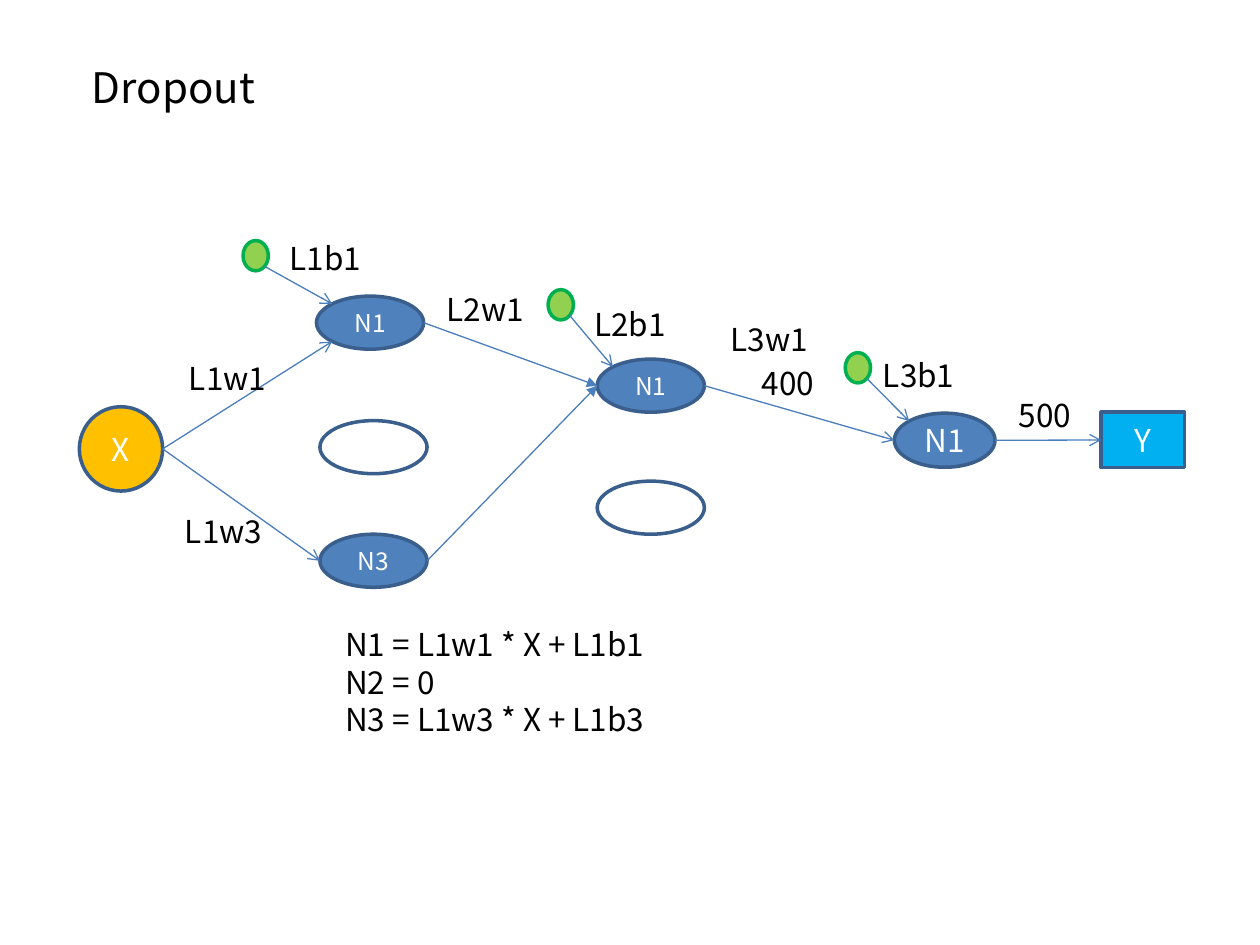
from dataclasses import dataclass
from math import cos, radians, sin

from lxml.etree import SubElement
from pptx import Presentation
from pptx.dml.color import RGBColor
from pptx.enum.shapes import MSO_CONNECTOR as Link, MSO_SHAPE as Form
from pptx.enum.text import MSO_ANCHOR as Anchor, MSO_AUTO_SIZE as Fit, PP_ALIGN as Align
from pptx.oxml.ns import qn
from pptx.util import Cm, Pt


@dataclass(frozen=True)
class Theme:
    """Colours, font and sizes of the slide."""
    font: str = "Noto Sans CJK KR"
    black: str = "000000"
    white: str = "FFFFFF"
    node: str = "4F81BD"
    edge: str = "3A5F8C"
    arrow: str = "4B7EBC"
    input: str = "FFC000"
    output: str = "00B0F0"
    bias: str = "92D050"
    ring: str = "00B050"
    head: int = 24
    body: int = 18
    small: int = 14


T = Theme()
NODE = (2.16, 1.07)
BIAS = (0.51, 0.61)
TAG = (2.08, 1.02)
NUM = (1.57, 1.02)

# Directions of the points where arrows meet an ellipse, in degrees
EAST, SE, SW, WEST, NW = 0, 45, 135, 180, 225


def write(shape, text, size=T.body, color=T.black, align=Align.LEFT,
          anchor=Anchor.TOP, wrap=True):
    """Fill a shape with formatted text, one paragraph a line."""
    frame = shape.text_frame
    frame.text = text
    frame.auto_size = Fit.NONE
    frame.word_wrap = wrap
    frame.vertical_anchor = anchor
    for para in frame.paragraphs:
        para.alignment = align
        font = para.font
        font.name, font.size = T.font, Pt(size)
        font.color.rgb = RGBColor.from_string(color)


def label(slide, text, at, size=TAG, **style):
    """Add a text box."""
    box = slide.shapes.add_textbox(*map(Cm, at + size))
    write(box, text, **style)


def node(slide, at, size=NODE, text="", fill=T.node, edge=T.edge,
         form=Form.OVAL, pt=T.small):
    """Add one unit of the network; no fill means it is dropped."""
    shape = slide.shapes.add_shape(form, *map(Cm, at + size))
    shape.shadow.inherit = False
    if fill:
        shape.fill.solid()
        shape.fill.fore_color.rgb = RGBColor.from_string(fill)
    else:
        shape.fill.background()
    shape.line.color.rgb = RGBColor.from_string(edge)
    shape.line.width = Pt(2)
    if text:
        write(shape, text, size=pt, color=T.white, align=Align.CENTER,
              anchor=Anchor.MIDDLE)
    return shape


def rim(shape, angle):
    """Find the point on a shape's rim in a direction."""
    turn = radians(angle)
    return (int(shape.left + shape.width * (1 + cos(turn)) / 2),
            int(shape.top + shape.height * (1 + sin(turn)) / 2))


def arrow(slide, start, out, end, into, head="arrow"):
    """Link two units with an arrow."""
    line = slide.shapes.add_connector(
        Link.STRAIGHT, *rim(start, out), *rim(end, into))
    line.line.color.rgb = RGBColor.from_string(T.arrow)
    line.line.width = Pt(0.75)
    SubElement(line.line._get_or_add_ln(), qn("a:tailEnd"), type=head)
    SubElement(line._element.spPr, qn("a:effectLst"))


def title(slide, text):
    """Place and format the title."""
    head = slide.shapes.title
    head.left, head.top, head.width, head.height = map(
        Cm, (1.6, 1.12, 22.28, 1.27))
    write(head, text, size=T.head)


def network(slide):
    """Draw the units and the arrows between them."""
    x = node(slide, (1.6, 8.2), (1.68, 1.7), "X", T.input, pt=T.body)
    first = node(slide, (6.38, 5.97), text="N1")
    third = node(slide, (6.45, 10.77), text="N3")
    second = node(slide, (12.04, 7.24), text="N1")
    last = node(slide, (18.03, 8.33), (2.03, 1.09), "N1", pt=T.body)
    y = node(slide, (22.2, 8.31), (1.68, 1.12), "Y", T.output,
             form=Form.RECTANGLE, pt=T.body)
    for at in ((6.45, 8.48), (12.04, 9.7)):
        node(slide, at, fill=None)

    arrow(slide, x, EAST, first, SW)
    arrow(slide, x, EAST, third, WEST)
    for unit in (first, third):
        arrow(slide, unit, EAST, second, WEST, head="triangle")
    arrow(slide, second, EAST, last, WEST)
    arrow(slide, last, EAST, y, WEST)

    for at, unit in (((4.9, 4.85), first), ((11.05, 5.84), second),
                     ((17.04, 7.11), last)):
        bias = node(slide, at, BIAS, fill=T.bias, edge=T.ring)
        arrow(slide, bias, SE, unit, NW)


def labels(slide):
    """Name the weights and biases, and give the values and rules."""
    for text, at in (
        ("L1w1", (3.56, 7.11)), ("L1w3", (3.48, 10.19)),
        ("L2w1", (8.76, 5.72)), ("L3w1", (14.48, 6.32)),
        ("L1b1", (5.59, 4.7)), ("L2b1", (11.73, 6.02)),
        ("L3b1", (17.55, 7.06)),
    ):
        label(slide, text, at)
    for text, at in (("400", (15.11, 7.21)), ("500", (20.29, 7.85))):
        label(slide, text, at, NUM, wrap=False)
    label(slide, "N1 = L1w1 * X + L1b1\nN2 = 0\nN3 = L1w3 * X + L1b3",
          (6.71, 12.47), (7.8, 3.33))


def main():
    """Build and save the slide."""
    deck = Presentation()
    deck.slide_width, deck.slide_height = Cm(25.4), Cm(19.05)
    slide = deck.slides.add_slide(deck.slide_layouts[5])
    title(slide, "Dropout")
    network(slide)
    labels(slide)
    deck.save("out.pptx")


main()
